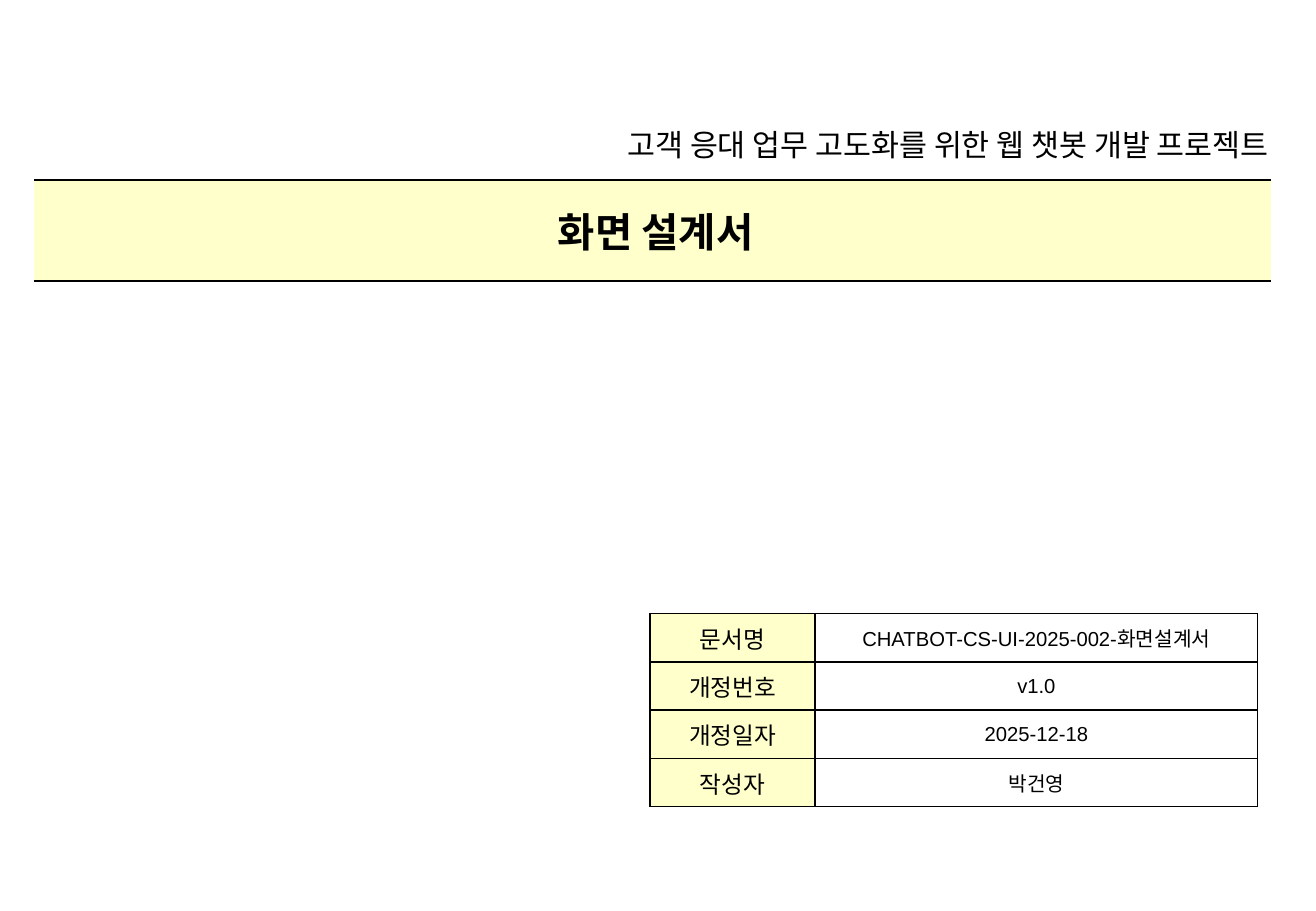
from lxml import etree
from pptx import Presentation
from pptx.dml.color import RGBColor
from pptx.enum.text import MSO_ANCHOR, PP_ALIGN
from pptx.oxml.ns import qn
from pptx.util import Cm, Pt

CENTER, RIGHT = PP_ALIGN.CENTER, PP_ALIGN.RIGHT
MIDDLE = MSO_ANCHOR.MIDDLE
COLORS = {"ink": "000000", "cream": "FFFFCC"}
KOREAN, LATIN = "Noto Sans CJK KR", "Arial"
PROJECT = "고객 응대 업무 고도화를 위한 웹 챗봇 개발 프로젝트"
TITLE = "화면 설계서"
DOCUMENT_INFO = [
    ("문서명", "CHATBOT-CS-UI-2025-002-화면설계서"),
    ("개정번호", "v1.0"),
    ("개정일자", "2025-12-18"),
    ("작성자", "박건영"),
]


def write(frame, text, size, align=CENTER, font=KOREAN, bold=False):
    """Put one formatted paragraph into a text frame."""
    frame.text = text
    para = frame.paragraphs[0]
    para.alignment = align
    span = para.runs[0]
    span.font.size = Pt(size)
    span.font.bold = bold
    span.font.name = font
    span.font.color.rgb = RGBColor.from_string(COLORS["ink"])
    east_asian = etree.Element(qn("a:ea"), typeface=KOREAN)
    span.font._element.find(qn("a:latin")).addnext(east_asian)


def set_borders(cell, sides, width):
    """Draw the named sides of a cell and clear the others."""
    properties = cell._tc.get_or_add_tcPr()
    for side in "LRTB":
        line = etree.SubElement(properties, qn(f"a:ln{side}"), w=str(Pt(width)))
        if side in sides:
            fill = etree.SubElement(line, qn("a:solidFill"))
            etree.SubElement(fill, qn("a:srgbClr"), val=COLORS["ink"])
        else:
            etree.SubElement(line, qn("a:noFill"))


def style_cell(cell, color, sides, width, margin_x, margin_y):
    """Set the borders, fill, margins and anchor of a cell."""
    set_borders(cell, sides, width)
    if color:
        cell.fill.solid()
        cell.fill.fore_color.rgb = RGBColor.from_string(COLORS[color])
    else:
        cell.fill.background()
    cell.margin_left = cell.margin_right = Cm(margin_x)
    cell.margin_top = cell.margin_bottom = Cm(margin_y)
    cell.vertical_anchor = MIDDLE


def add_plain_table(page, rows, columns, box):
    """Add a table without header or banding in a box given in cm."""
    table = page.shapes.add_table(rows, columns, *map(Cm, box)).table
    table.first_row = table.horz_banding = False
    return table


def add_project_name(page, box):
    """Add the right-aligned project name."""
    frame = page.shapes.add_textbox(*map(Cm, box)).text_frame
    frame.word_wrap = True
    write(frame, PROJECT, 18, RIGHT)


def add_title_band(page, box):
    """Add the title band ruled above and below."""
    cell = add_plain_table(page, 1, 1, box).cell(0, 0)
    style_cell(cell, "cream", "TB", 1.5, 0, 0)
    cell.margin_left = Cm(0.13)
    write(cell.text_frame, TITLE, 24, bold=True)


def add_document_info(page, box):
    """Add the table of document details."""
    table = add_plain_table(page, len(DOCUMENT_INFO), 2, box)
    label_width = 3.45
    table.columns[0].width = Cm(label_width)
    table.columns[1].width = Cm(box[2] - label_width)
    for row, (label, value) in enumerate(DOCUMENT_INFO):
        label_cell, value_cell = table.cell(row, 0), table.cell(row, 1)
        style_cell(label_cell, "cream", "LRTB", 1, 0.36, 0.15)
        style_cell(value_cell, None, "LRTB", 1, 0.36, 0.15)
        write(label_cell.text_frame, label, 14)
        write(value_cell.text_frame, value, 12, font=LATIN)


def main():
    """Build and save the cover page."""
    deck = Presentation()
    deck.slide_width, deck.slide_height = Cm(27.51), Cm(19.05)
    page = deck.slides.add_slide(deck.slide_layouts[6])
    add_project_name(page, (10.13, 2.51, 16.64, 1.02))
    add_title_band(page, (0.71, 3.76, 25.86, 2.11))
    add_document_info(page, (13.59, 12.83, 12.7, 4.04))
    deck.save("out.pptx")


if __name__ == "__main__":
    main()
